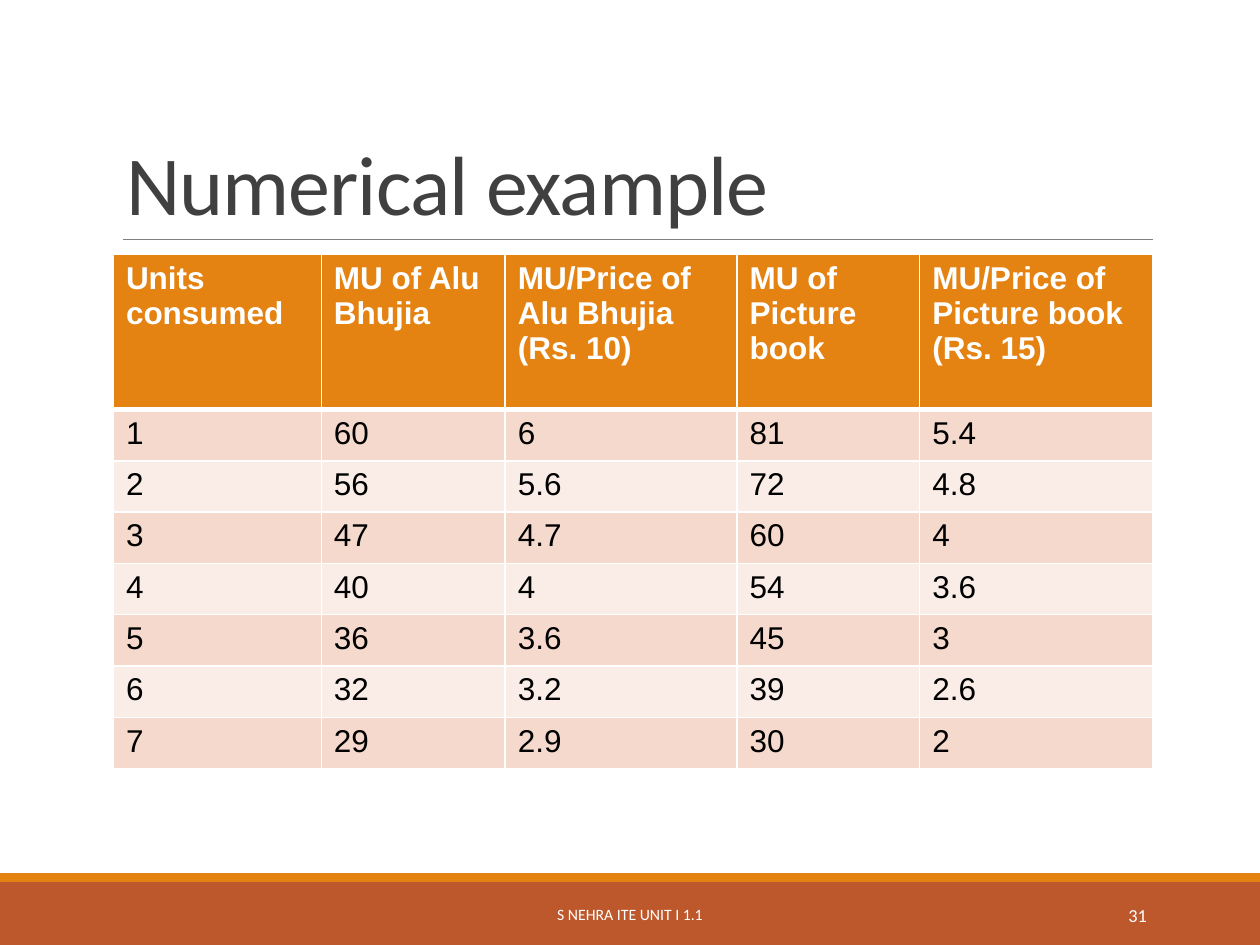
from dataclasses import dataclass

from lxml.etree import SubElement
from pptx import Presentation
from pptx.dml.color import RGBColor
from pptx.enum.shapes import MSO_CONNECTOR, MSO_SHAPE
from pptx.enum.text import MSO_ANCHOR, MSO_AUTO_SIZE, PP_ALIGN
from pptx.oxml.ns import qn
from pptx.util import Inches, Pt

WHITE = RGBColor(0xFF, 0xFF, 0xFF)
BLACK = RGBColor(0x00, 0x00, 0x00)
CHARCOAL = RGBColor(0x40, 0x40, 0x40)
GRAY = RGBColor(0x80, 0x80, 0x80)
ORANGE = RGBColor(0xE4, 0x83, 0x12)
RUST = RGBColor(0xBD, 0x58, 0x2C)
BANDS = (RGBColor(0xF5, 0xD9, 0xCC), RGBColor(0xFA, 0xED, 0xE7))

LEFT, WIDTH = 0.9, 8.25
COL_WIDTHS = (1.65, 1.46, 1.84, 1.45, 1.85)
TABLE_TOP, TABLE_HEIGHT, HEADER_HEIGHT = 2.02, 4.08, 1.23
ROWS = (
    ("Units consumed", "MU of Alu Bhujia", "MU/Price of Alu Bhujia (Rs. 10)",
     "MU of Picture book", "MU/Price of Picture book (Rs. 15)"),
    ("1", "60", "6", "81", "5.4"),
    ("2", "56", "5.6", "72", "4.8"),
    ("3", "47", "4.7", "60", "4"),
    ("4", "40", "4", "54", "3.6"),
    ("5", "36", "3.6", "45", "3"),
    ("6", "32", "3.2", "39", "2.6"),
    ("7", "29", "2.9", "30", "2"),
)


@dataclass
class Band:
    top: float
    height: float
    color: RGBColor


@dataclass
class FooterText:
    text: str
    left: float
    width: float
    size: float
    align: PP_ALIGN


FOOTER_BANDS = (Band(7, 0.5, RUST), Band(6.93, 0.07, ORANGE))
FOOTER_TEXTS = (
    FooterText("S NEHRA ITE UNIT I 1.1", 3.02, 3.96, 9, PP_ALIGN.CENTER),
    FooterText("31", 8.12, 1.08, 10.5, PP_ALIGN.RIGHT),
)


def write(tf, text: str, *, size: float, color: RGBColor, font: str = "Calibri",
          bold: bool = False, align: PP_ALIGN = PP_ALIGN.LEFT,
          line_spacing: float | None = None, tracking: float = 0):
    p = tf.paragraphs[0]
    p.alignment = align
    p.line_spacing = line_spacing
    r = p.add_run()
    r.text = text
    r.font.name = font
    r.font.size = Pt(size)
    r.font.bold = bold
    r.font.color.rgb = color
    if tracking:
        r.font._element.set("spc", str(round(tracking * 100)))


def draw_band(s, band: Band, width: int):
    sp = s.shapes.add_shape(MSO_SHAPE.RECTANGLE, 0, Inches(band.top),
                            width, Inches(band.height))
    sp.shadow.inherit = False
    sp.fill.solid()
    sp.fill.fore_color.rgb = band.color
    sp.line.fill.background()


def draw_rule(s):
    line = s.shapes.add_connector(MSO_CONNECTOR.STRAIGHT, Inches(0.98), Inches(1.9),
                                  Inches(LEFT + WIDTH), Inches(1.9))
    line.line.color.rgb = GRAY
    line.line.width = Pt(0.5)
    SubElement(line._element.spPr, qn("a:effectLst"))


def draw_title(s, text: str):
    sp = s.shapes.title
    sp.left, sp.top = Inches(LEFT), Inches(0.31)
    sp.width, sp.height = Inches(WIDTH), Inches(1.59)
    tf = sp.text_frame
    tf.auto_size = MSO_AUTO_SIZE.NONE
    tf.vertical_anchor = MSO_ANCHOR.BOTTOM
    write(tf, text, size=48, color=CHARCOAL, line_spacing=0.85, tracking=-0.5)


def set_borders(cell, bottom: float):
    tc_pr = cell._tc.get_or_add_tcPr()
    sides = (("L", 1), ("R", 1), ("T", 1), ("B", bottom))
    for i, (side, width) in enumerate(sides):
        ln = tc_pr.makeelement(qn(f"a:ln{side}"), {"w": str(Pt(width))})
        fill = SubElement(ln, qn("a:solidFill"))
        SubElement(fill, qn("a:srgbClr"), val=str(WHITE))
        tc_pr.insert(i, ln)


def draw_table(s):
    table = s.shapes.add_table(len(ROWS), len(COL_WIDTHS), Inches(LEFT),
                               Inches(TABLE_TOP), Inches(WIDTH),
                               Inches(TABLE_HEIGHT)).table
    for col, width in zip(table.columns, COL_WIDTHS):
        col.width = Inches(width)
    body_height = (TABLE_HEIGHT - HEADER_HEIGHT) / (len(ROWS) - 1)
    for i, values in enumerate(ROWS):
        header = i == 0
        table.rows[i].height = Inches(HEADER_HEIGHT if header else body_height)
        for j, value in enumerate(values):
            cell = table.cell(i, j)
            cell.fill.solid()
            cell.fill.fore_color.rgb = ORANGE if header else BANDS[(i - 1) % 2]
            above_header_line = 3 if header else 1
            set_borders(cell, above_header_line)
            if i == 1:
                cell._tc.tcPr.remove(cell._tc.tcPr.find(qn("a:lnT")))
            write(cell.text_frame, value, size=18, font="Arial", bold=header,
                  color=WHITE if header else BLACK)


def draw_footer_text(s, item: FooterText):
    sp = s.shapes.add_textbox(Inches(item.left), Inches(7.06),
                              Inches(item.width), Inches(0.4))
    tf = sp.text_frame
    tf.word_wrap = True
    tf.vertical_anchor = MSO_ANCHOR.MIDDLE
    write(tf, item.text, size=item.size, color=WHITE, align=item.align)


def main():
    prs = Presentation()
    prs.slide_width, prs.slide_height = Inches(10), Inches(7.5)
    s = prs.slides.add_slide(prs.slide_layouts[5])
    for band in FOOTER_BANDS:
        draw_band(s, band, prs.slide_width)
    draw_rule(s)
    draw_title(s, "Numerical example")
    draw_table(s)
    for item in FOOTER_TEXTS:
        draw_footer_text(s, item)
    prs.save("out.pptx")


if __name__ == "__main__":
    main()
